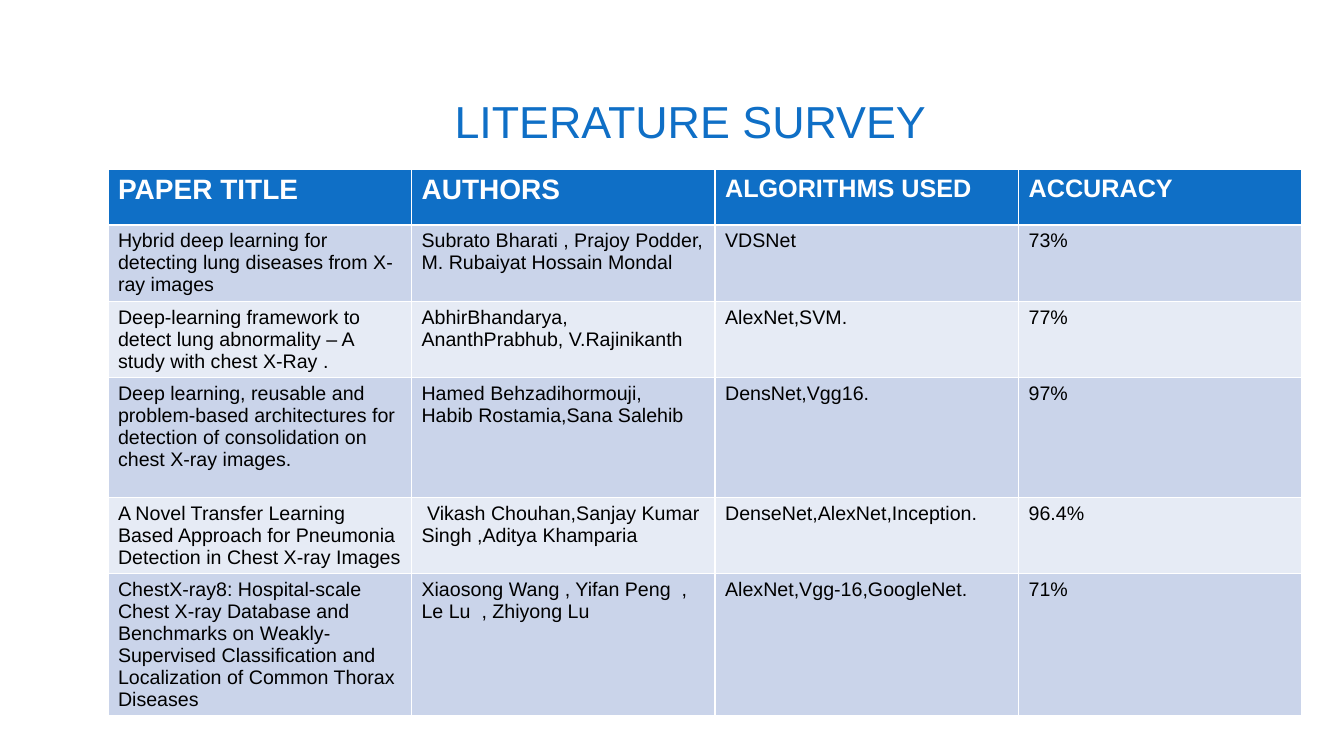
from typing import NamedTuple

from pptx import Presentation
from pptx.dml.color import RGBColor
from pptx.enum.text import MSO_ANCHOR, MSO_AUTO_SIZE, PP_ALIGN
from pptx.util import Cm, Pt

BLUE = RGBColor(0x0F, 0x6F, 0xC6)
WHITE = RGBColor(0xFF, 0xFF, 0xFF)
BLACK = RGBColor(0x00, 0x00, 0x00)
DARK_BAND = RGBColor(0xCA, 0xD4, 0xEA)
LIGHT_BAND = RGBColor(0xE6, 0xEB, 0xF5)
FONT = "Arial"
TITLE_ONLY = 5
BOTTOM = MSO_ANCHOR.BOTTOM
NO_AUTOFIT = MSO_AUTO_SIZE.NONE
CENTER = PP_ALIGN.CENTER


class Column(NamedTuple):
    heading: str
    width: float
    heading_size: int


class Paper(NamedTuple):
    height: float
    title: str
    authors: str
    algorithms: str
    accuracy: str


HEADER_HEIGHT = 1.4
COLUMNS = [
    Column("PAPER TITLE", 7.65, 20),
    Column("AUTHORS", 7.65, 20),
    Column("ALGORITHMS USED", 7.65, 18),
    Column("ACCURACY", 7.14, 18),
]
PAPERS = [
    Paper(1.92, "Hybrid deep learning for detecting lung diseases from X-ray images",
          "Subrato Bharati , Prajoy Podder, M. Rubaiyat Hossain Mondal",
          "VDSNet", "73%"),
    Paper(1.92, "Deep-learning framework to detect lung abnormality – A study with chest X-Ray .",
          "AbhirBhandarya, AnanthPrabhub, V.Rajinikanth",
          "AlexNet,SVM.", "77%"),
    Paper(3.03, "Deep learning, reusable and problem-based architectures for detection of "
          "consolidation on chest X-ray images.",
          "Hamed Behzadihormouji,\nHabib Rostamia,Sana Salehib",
          "DensNet,Vgg16.", "97%"),
    Paper(1.92, "A Novel Transfer Learning Based Approach for Pneumonia Detection in "
          "Chest X-ray Images",
          " Vikash Chouhan,Sanjay Kumar Singh ,Aditya Khamparia",
          "DenseNet,AlexNet,Inception.", "96.4%"),
    Paper(3.58, "ChestX-ray8: Hospital-scale Chest X-ray Database and Benchmarks on "
          "Weakly-Supervised Classification and Localization of Common Thorax Diseases",
          "Xiaosong Wang , Yifan Peng  , Le Lu  , Zhiyong Lu",
          "AlexNet,Vgg-16,GoogleNet.", "71%"),
]


def write_text(frame, text: str, size: int, color: RGBColor, bold: bool = False) -> None:
    frame.text = text
    for para in frame.paragraphs:
        for span in para.runs:
            span.font.name = FONT
            span.font.size = Pt(size)
            span.font.bold = bold
            span.font.color.rgb = color


def fill_cell(cell, color: RGBColor) -> None:
    cell.fill.solid()
    cell.fill.fore_color.rgb = color


def add_title(page, text: str) -> None:
    title = page.shapes.title
    title.left, title.top, title.width, title.height = Cm(2.16), Cm(0.53), Cm(30.48), Cm(3.18)
    frame = title.text_frame
    write_text(frame, text, 32, BLUE)
    frame.auto_size = NO_AUTOFIT
    frame.vertical_anchor = BOTTOM
    frame.margin_left = frame.margin_right = frame.margin_bottom = 0
    frame.margin_top = Cm(0.13)
    frame.paragraphs[0].alignment = CENTER


def add_survey(page, columns: list[Column], papers: list[Paper]) -> None:
    heights = [HEADER_HEIGHT] + [paper.height for paper in papers]
    width = sum(column.width for column in columns)
    # The default table style supplies the white cell borders
    table = page.shapes.add_table(len(heights), len(columns), Cm(2.72), Cm(4.27),
                                  Cm(width), Cm(sum(heights))).table
    for row, height in zip(table.rows, heights):
        row.height = Cm(height)

    # Header row
    for index, column in enumerate(columns):
        table.columns[index].width = Cm(column.width)
        cell = table.cell(0, index)
        fill_cell(cell, BLUE)
        write_text(cell.text_frame, column.heading, column.heading_size, WHITE, True)

    # One banded row per paper
    for number, paper in enumerate(papers, start=1):
        texts = (paper.title, paper.authors, paper.algorithms, paper.accuracy)
        for index, text in enumerate(texts):
            cell = table.cell(number, index)
            fill_cell(cell, DARK_BAND if number % 2 else LIGHT_BAND)
            write_text(cell.text_frame, text, 14, BLACK)


def main() -> None:
    deck = Presentation()
    deck.slide_width, deck.slide_height = Cm(33.87), Cm(19.05)
    page = deck.slides.add_slide(deck.slide_layouts[TITLE_ONLY])
    add_title(page, "LITERATURE SURVEY")
    add_survey(page, COLUMNS, PAPERS)
    deck.save("out.pptx")


if __name__ == "__main__":
    main()
